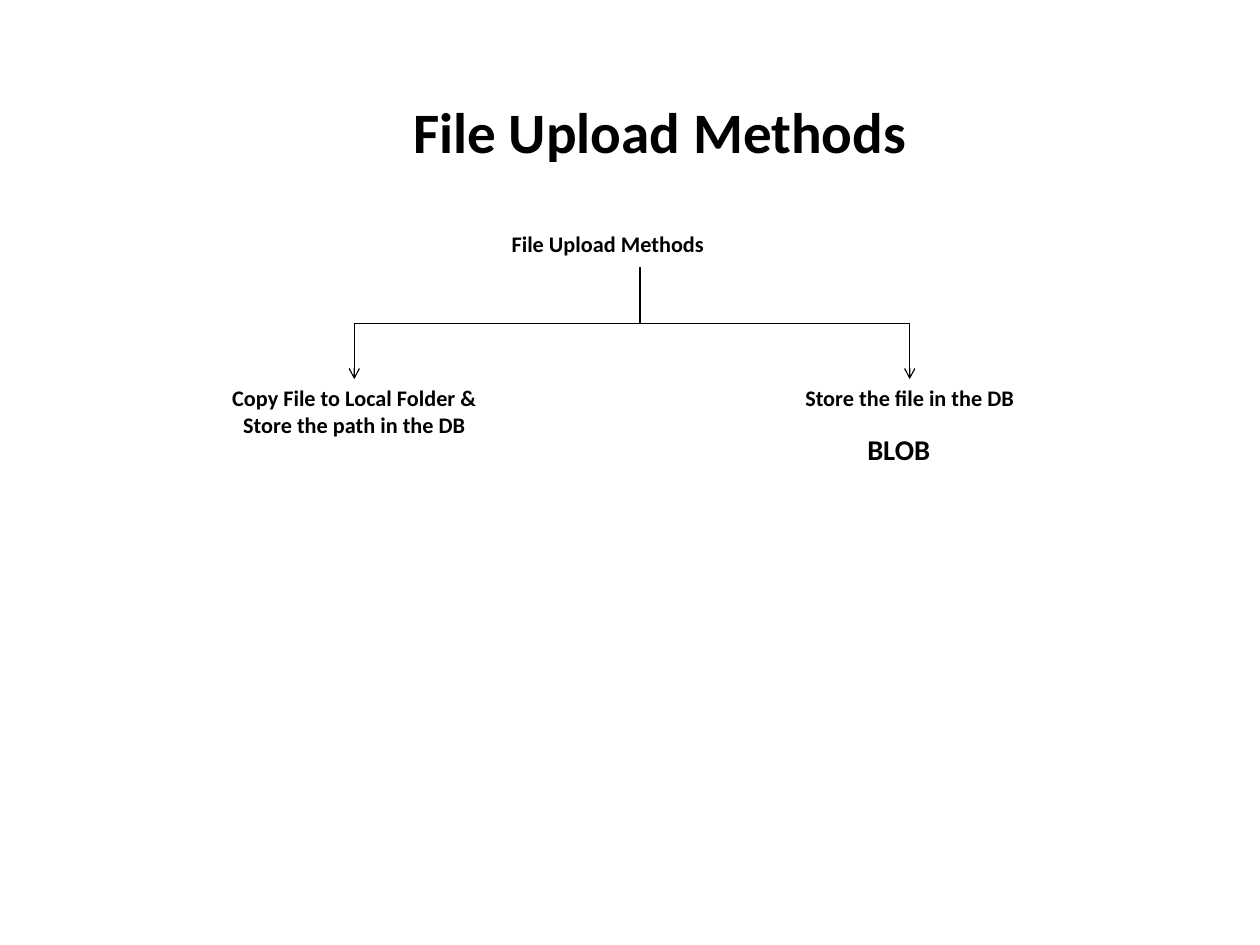
from pptx import Presentation
from pptx.dml.color import RGBColor
from pptx.enum.shapes import MSO_CONNECTOR
from pptx.enum.text import MSO_ANCHOR, PP_ALIGN
from pptx.oxml.ns import qn
from pptx.util import Pt
from lxml import etree

BLACK = RGBColor(0, 0, 0)
LEFT, CENTER = PP_ALIGN.LEFT, PP_ALIGN.CENTER
MIDDLE, TOP = MSO_ANCHOR.MIDDLE, MSO_ANCHOR.TOP
ELBOW = MSO_CONNECTOR.ELBOW
FONT = "Calibri"


def write_text(box, text, size=14, align=CENTER, anchor=TOP):
    frame = box.text_frame
    frame.word_wrap = True
    frame.vertical_anchor = anchor
    frame.text = text
    for para in frame.paragraphs:
        para.alignment = align
        for span in para.runs:
            span.font.name = FONT
            span.font.size = Pt(size)
            span.font.bold = True
            span.font.color.rgb = BLACK


deck = Presentation()
deck.slide_width, deck.slide_height = Pt(793.75), Pt(595.25)
page = deck.slides.add_slide(deck.slide_layouts[5])

title = page.shapes.title
title.left, title.top, title.width, title.height = Pt(121.2), Pt(47.5), Pt(589), Pt(69)
write_text(title, "File Upload Methods", size=36, anchor=MIDDLE)

labels = [
    ("File Upload Methods", 315.2, 141.5, 176.4, 24, 14, LEFT),
    ("Copy File to Local Folder &\nStore the path in the DB", 110.2, 238.8, 226, 40.3, 14, CENTER),
    ("Store the file in the DB", 475.2, 238.8, 195.8, 24, 14, CENTER),
    ("BLOB", 539.3, 268.6, 67.7, 29, 18, LEFT),
]
for text, left, top, width, height, size, align in labels:
    box = page.shapes.add_textbox(Pt(left), Pt(top), Pt(width), Pt(height))
    write_text(box, text, size=size, align=align)

trunk_x, trunk_y, branch_y = 403.2, 168.3, 238.8
drop = branch_y - trunk_y
middle_y = (trunk_y + branch_y) / 2
for branch_x in (223.2, 573.1):
    span_x = abs(branch_x - trunk_x)
    middle_x = (trunk_x + branch_x) / 2
    goes_left = branch_x < trunk_x
    half = drop / 2 if goes_left else -drop / 2
    arrow = page.shapes.add_connector(
        ELBOW,
        Pt(middle_x - half), Pt(middle_y - span_x / 2),
        Pt(middle_x + half), Pt(middle_y + span_x / 2),
    )
    arrow.line.color.rgb = BLACK
    arrow.line.width = Pt(0.75)
    properties = arrow.element.spPr
    turn = 90 if goes_left else 270
    properties.find(qn("a:xfrm")).set("rot", str(turn * 60000))
    etree.SubElement(properties.find(qn("a:ln")), qn("a:tailEnd"), type="arrow")
    etree.SubElement(properties, qn("a:effectLst"))

deck.save("out.pptx")
